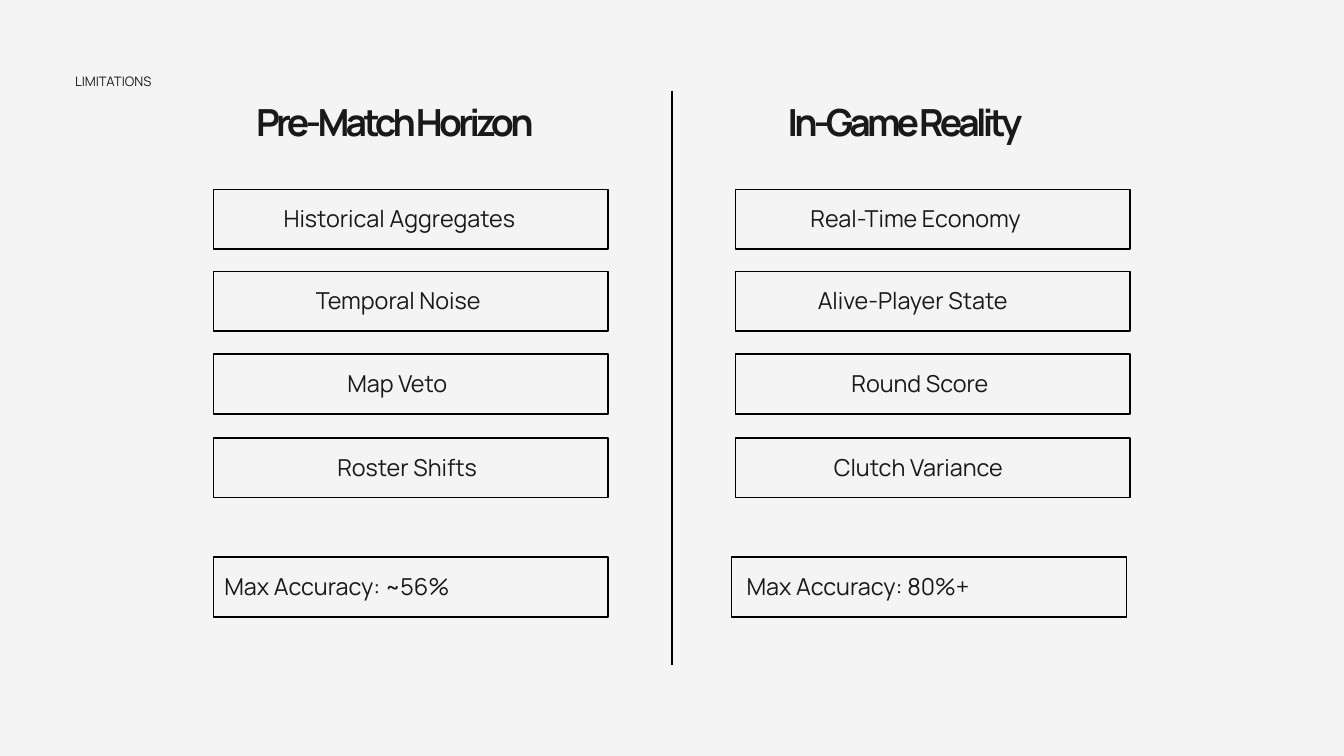
from pptx import Presentation
from pptx.dml.color import RGBColor
from pptx.enum.shapes import MSO_CONNECTOR, MSO_SHAPE
from pptx.enum.text import MSO_ANCHOR, MSO_AUTO_SIZE, PP_ALIGN
from pptx.oxml.ns import qn
from pptx.util import Cm, Pt
from lxml import etree

RECT = MSO_SHAPE.RECTANGLE
STRAIGHT = MSO_CONNECTOR.STRAIGHT
TOP = MSO_ANCHOR.TOP
LEFT = PP_ALIGN.LEFT
GROW = MSO_AUTO_SIZE.SHAPE_TO_FIT_TEXT

FONT = "Manrope"
PAPER, INK, BLACK = "F4F4F4", "191919", "000000"

# Rows, in cm
TOPS = (7.16, 10.26, 13.39, 16.56)
LAST = 21.06
BOX_W, BOX_H, INSET = 14.91, 2.26, 0.57

# Heading and its left; box left; factors as (text, left, width);
# result as (text, left, box left)
COLUMNS = (
    ("Pre-Match Horizon", 9.68, 8.08,
     (("Historical Aggregates", 10.72, 9.63),
      ("Temporal Noise", 11.94, 7.19),
      ("Map Veto", 13.13, 4.8),
      ("Roster Shifts", 12.75, 5.54)),
     ("Max Accuracy: ~56%", 8.48, 8.08)),
    ("In-Game Reality", 29.77, 27.81,
     (("Real-Time Economy", 30.63, 9.63),
      ("Alive-Player State", 30.91, 9.07),
      ("Round Score", 32.18, 5.87),
      ("Clutch Variance", 31.52, 7.49)),
     ("Max Accuracy: 80%+", 28.22, 27.66)),
)


def color(code):
    return RGBColor.from_string(code)


def place(shape, x, y, w, h):
    shape.left, shape.top, shape.width, shape.height = Cm(x), Cm(y), Cm(w), Cm(h)


def write(shape, text, size, lead, bold=False, track=0):
    """Fill a text shape with one flush-left line."""
    frame = shape.text_frame
    frame.text = text
    frame.word_wrap = True
    frame.auto_size = GROW
    frame.vertical_anchor = TOP
    frame.margin_left = frame.margin_right = 0
    frame.margin_top = frame.margin_bottom = 0
    line = frame.paragraphs[0]
    line.alignment = LEFT
    line.line_spacing = Pt(lead)
    line.space_before = Pt(0)
    run = line.runs[0]
    run.font.name = FONT
    run.font.size = Pt(size)
    run.font.bold = bold
    run.font.color.rgb = color(INK)
    if track:
        run.font._element.set("spc", str(track * 100))


def add_text(slide, text, x, y, w, h, *style):
    box = slide.shapes.add_textbox(Cm(x), Cm(y), Cm(w), Cm(h))
    write(box, text, *style)


def add_box(slide, text, box_x, y, text_x, text_w):
    """Draw an outlined box with its label on top."""
    box = slide.shapes.add_shape(RECT, Cm(box_x), Cm(y), Cm(BOX_W), Cm(BOX_H))
    box.shadow.inherit = False
    box.fill.solid()
    box.fill.fore_color.rgb = color(PAPER)
    box.line.color.rgb = color(BLACK)
    box.line.width = Pt(1.5)
    add_text(slide, text, text_x, y + INSET, text_w, 1.09, 25, 30)


def add_rule(slide, x, top, end):
    rule = slide.shapes.add_connector(STRAIGHT, Cm(x), Cm(top), Cm(x), Cm(end))
    rule.line.color.rgb = color(BLACK)
    rule.line.width = Pt(3)
    etree.SubElement(rule._element.spPr, qn("a:effectLst"))


def main():
    deck = Presentation()
    deck.slide_width, deck.slide_height = Cm(50.8), Cm(28.58)
    slide = deck.slides.add_slide(deck.slide_layouts[5])
    slide.background.fill.solid()
    slide.background.fill.fore_color.rgb = color(PAPER)

    # Title and divider
    title = slide.shapes.title
    place(title, 2.84, 2.79, 10.41, 0.64)
    write(title, "LIMITATIONS", 14, 16.8)
    add_rule(slide, 25.4, 3.43, 25.15)

    # Two columns: heading, factors, result
    for head, head_x, box_x, factors, result in COLUMNS:
        add_text(slide, head, head_x, 3.81, 11.35, 1.75, 40, 46.4, True, -4)
        for y, (text, x, w) in zip(TOPS, factors):
            add_box(slide, text, box_x, y, x, w)
        text, x, last_x = result
        add_box(slide, text, last_x, LAST, x, 11.35)

    deck.save("out.pptx")


if __name__ == "__main__":
    main()
